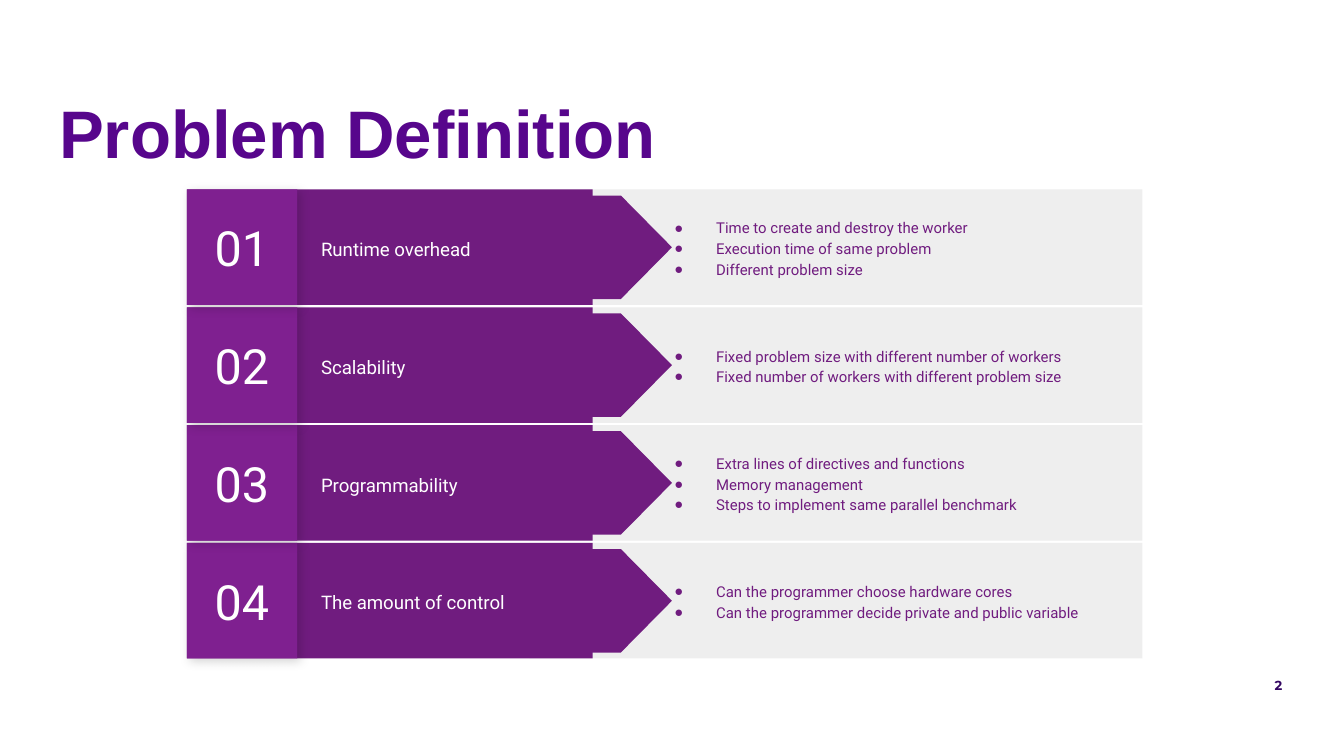
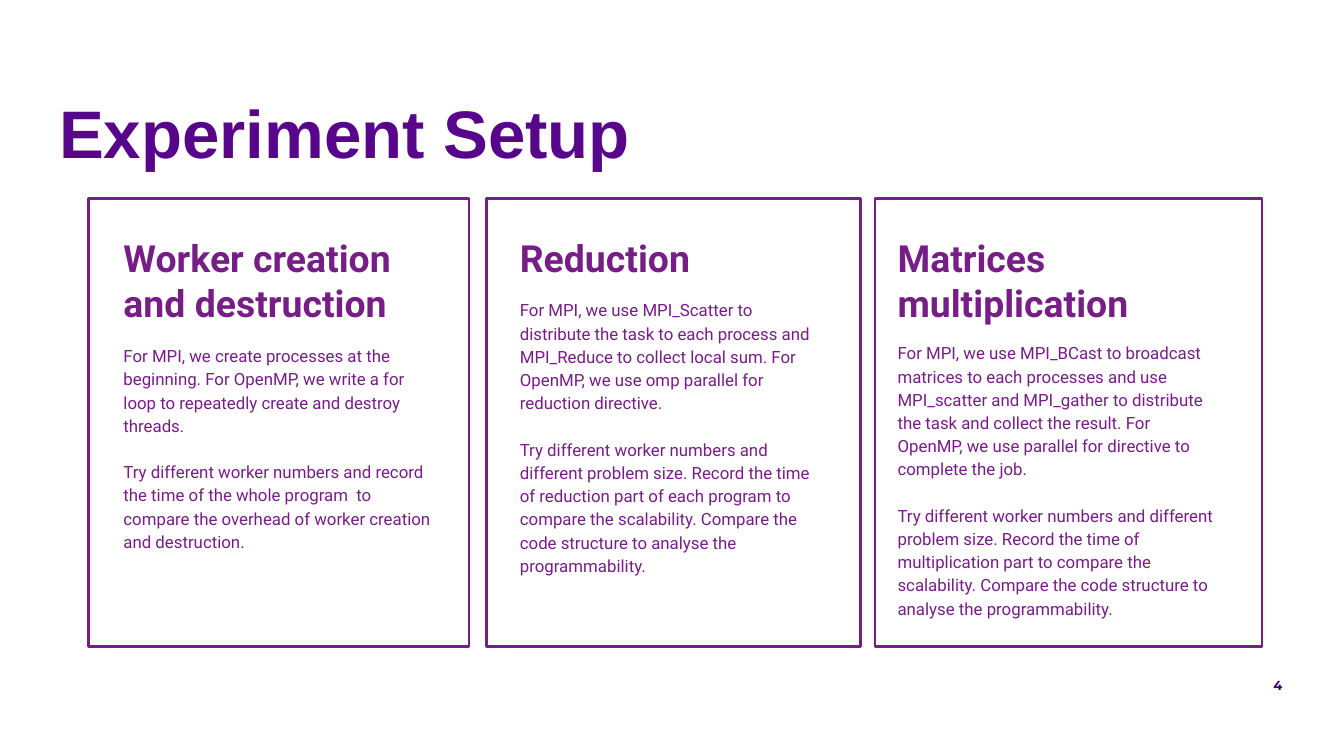
"""Build two slides: the problem definition and the experiment setup."""
from dataclasses import dataclass

from lxml import etree
from pptx import Presentation
from pptx.dml.color import RGBColor
from pptx.enum.shapes import MSO_SHAPE
from pptx.enum.text import MSO_ANCHOR, MSO_AUTO_SIZE, PP_ALIGN
from pptx.oxml import parse_xml
from pptx.util import Inches, Pt

RECTANGLE = MSO_SHAPE.RECTANGLE
ARROW = MSO_SHAPE.FLOWCHART_OFFPAGE_CONNECTOR
TOP, MIDDLE = MSO_ANCHOR.TOP, MSO_ANCHOR.MIDDLE
LEFT, CENTER, RIGHT = PP_ALIGN.LEFT, PP_ALIGN.CENTER, PP_ALIGN.RIGHT
NAMESPACE = "http://schemas.openxmlformats.org/drawingml/2006/main"


@dataclass(frozen=True)
class Theme:
    """Colours, fonts, type sizes and spacing of the presentation."""
    title: str = "57068C"
    page: str = "330662"
    band: str = "701C7F"
    number: str = "7F2090"
    card: str = "761E86"
    panel: str = "EEEEEE"
    white: str = "FFFFFF"
    title_font: str = "Arial"
    page_font: str = "Montserrat"
    body_font: str = "Roboto"
    bullet_font: str = "Arial"
    title_size: int = 36
    number_size: int = 26
    heading_size: int = 20
    label_size: int = 10
    card_size: int = 9
    bullet_size: int = 8
    page_size: int = 7
    body_spacing: float = 1.15
    paragraph_gap: float = 12.4


THEME = Theme()

CRITERIA = [
    ("Runtime overhead", ["Time to create and destroy the worker",
                          "Execution time of same problem",
                          "Different problem size"]),
    ("Scalability", ["Fixed problem size with different number of workers",
                     "Fixed number of workers with different problem size"]),
    ("Programmability", ["Extra lines of directives and functions",
                         "Memory management",
                         "Steps to implement same parallel benchmark"]),
    ("The amount of control", ["Can the programmer choose hardware cores",
                               "Can the programmer decide private and public variable"]),
]

EXPERIMENTS = [
    {"heading": "Worker creation and destruction",
     "left": 0.66, "width": 2.83, "text_left": 0.82, "text_width": 2.51, "body_top": 2.45,
     "body": ["For MPI, we create processes at the beginning. For OpenMP, we write a for loop "
              "to repeatedly create and destroy threads.",
              "Try different worker numbers and record the time of the whole program  to "
              "compare the overhead of worker creation and destruction."]},
    {"heading": "Reduction",
     "left": 3.62, "width": 2.78, "text_left": 3.77, "text_width": 2.46, "body_top": 2.11,
     "body": ["For MPI, we use MPI_Scatter to distribute the task to each process and "
              "MPI_Reduce to collect local sum. For OpenMP, we use omp parallel for "
              "reduction directive.",
              "Try different worker numbers and different problem size. Record the time of "
              "reduction part of each program to compare the scalability. Compare the code "
              "structure to analyse the programmability."]},
    {"heading": "Matrices multiplication",
     "left": 6.51, "width": 2.88, "text_left": 6.58, "text_width": 2.55, "body_top": 2.43,
     "body": ["For MPI, we use MPI_BCast to broadcast matrices to each processes and use "
              "MPI_scatter and MPI_gather to distribute the task and collect the result. For "
              "OpenMP, we use parallel for directive to complete the job.",
              "Try different worker numbers and different problem size. Record the time of "
              "multiplication part to compare the scalability. Compare the code structure to "
              "analyse the programmability."]},
]

ROW_TOP, LAST_ROW_TOP, ROW_HEIGHT = 1.41, 4.04, 0.86
ROW_PITCH = (LAST_ROW_TOP - ROW_TOP) / (len(CRITERIA) - 1)
ARROW_CENTER, ARROW_LENGTH, ARROW_BREADTH = 4.05, 1.9, 0.77
CARD_TOP, CARD_HEIGHT, HEADING_TOP, BODY_BOTTOM = 1.48, 3.33, 1.65, 4.6


def write(shape, texts, size, color, font=THEME.body_font, bold=False, align=LEFT,
          anchor=TOP, spacing=1.0, gap=0):
    """Fill a shape with paragraphs of one style and return them."""
    frame = shape.text_frame
    frame.word_wrap = True
    frame.auto_size = MSO_AUTO_SIZE.NONE
    frame.vertical_anchor = anchor
    frame.margin_left = frame.margin_right = Inches(0.1)
    frame.margin_top = frame.margin_bottom = Inches(0.1)
    frame.text = "\n".join(texts)
    for index, paragraph in enumerate(frame.paragraphs):
        paragraph.alignment = align
        paragraph.line_spacing = spacing
        paragraph.space_before = Pt(gap if index else 0)
        paragraph.font.name = font
        paragraph.font.size = Pt(size)
        paragraph.font.bold = bold
        paragraph.font.color.rgb = RGBColor.from_string(color)
    return frame.paragraphs


def add_text(shapes, box, texts, size, color, **style):
    """Add a text box and return its paragraphs."""
    return write(shapes.add_textbox(*map(Inches, box)), texts, size, color, **style)


def add_block(shapes, kind, box, fill, line=None):
    """Add a flat preset shape."""
    shape = shapes.add_shape(kind, *map(Inches, box))
    shape.shadow.inherit = False
    shape.fill.solid()
    shape.fill.fore_color.rgb = RGBColor.from_string(fill)
    if line:
        shape.line.color.rgb = RGBColor.from_string(line)
        shape.line.width = Pt(1.5)
    else:
        shape.line.fill.background()
    return shape


def add_shadow(shape):
    """Give a shape a soft diagonal shadow."""
    effects = shape._element.spPr.find(f"{{{NAMESPACE}}}effectLst")
    effects.append(parse_xml(
        f'<a:outerShdw xmlns:a="{NAMESPACE}" blurRad="{Pt(5.6)}" dist="{Pt(2.2)}" '
        'dir="2700000" algn="tl" rotWithShape="0">'
        '<a:srgbClr val="000000"><a:alpha val="17000"/></a:srgbClr></a:outerShdw>'))


def add_bullet(paragraph, color):
    """Turn a paragraph into a hanging bullet."""
    properties = paragraph._p.get_or_add_pPr()
    properties.set("marL", str(Inches(0.5)))
    properties.set("indent", str(Inches(-0.31)))
    bullet_color = etree.SubElement(properties, f"{{{NAMESPACE}}}buClr")
    etree.SubElement(bullet_color, f"{{{NAMESPACE}}}srgbClr", val=color)
    etree.SubElement(properties, f"{{{NAMESPACE}}}buFont", typeface=THEME.bullet_font)
    etree.SubElement(properties, f"{{{NAMESPACE}}}buChar", char="●")
    defaults = properties.find(f"{{{NAMESPACE}}}defRPr")
    if defaults is not None:
        properties.append(defaults)


def add_slide(presentation, title, page):
    """Add a slide with the shared title and page number."""
    slide = presentation.slides.add_slide(presentation.slide_layouts[5])
    heading = slide.shapes.title
    heading.left, heading.top = Inches(0.34), Inches(0.58)
    heading.width, heading.height = Inches(9.21), Inches(0.63)
    write(heading, [title], THEME.title_size, THEME.title, font=THEME.title_font, bold=True)
    add_text(slide.shapes, (5.05, 4.94, 4.59, 0.34), [page], THEME.page_size, THEME.page,
             font=THEME.page_font, bold=True, align=RIGHT)
    return slide


def add_criterion(slide, index, label, points):
    """Add one numbered row with its arrow and bullets."""
    shapes = slide.shapes.add_group_shape().shapes
    top = ROW_TOP + index * ROW_PITCH
    add_block(shapes, RECTANGLE, (3.94, top, 4.56, ROW_HEIGHT), THEME.panel)
    add_block(shapes, RECTANGLE, (2.21, top, 2.2, ROW_HEIGHT), THEME.band)
    arrow_box = (ARROW_CENTER - ARROW_BREADTH / 2, top + (ROW_HEIGHT - ARROW_LENGTH) / 2,
                 ARROW_BREADTH, ARROW_LENGTH)
    add_block(shapes, ARROW, arrow_box, THEME.band).rotation = 270
    add_text(shapes, (2.29, top + 0.1, 2.32, 0.66), [label], THEME.label_size, THEME.white,
             anchor=MIDDLE, spacing=THEME.body_spacing)
    number_box = (1.39, top, 0.82, ROW_HEIGHT)
    add_shadow(add_block(shapes, RECTANGLE, number_box, THEME.card))
    number = add_block(shapes, RECTANGLE, number_box, THEME.number)
    write(number, [f"{index + 1:02}"], THEME.number_size, THEME.white, align=CENTER,
          anchor=MIDDLE)
    for paragraph in add_text(shapes, (4.73, top, 3.55, ROW_HEIGHT), points,
                              THEME.bullet_size, THEME.band, anchor=MIDDLE,
                              spacing=THEME.body_spacing):
        add_bullet(paragraph, THEME.band)


def add_experiment(slide, card):
    """Add one outlined card with heading and body."""
    shapes = slide.shapes.add_group_shape().shapes
    left, width, body_top = card["text_left"], card["text_width"], card["body_top"]
    add_block(shapes, RECTANGLE, (card["left"], CARD_TOP, card["width"], CARD_HEIGHT),
              THEME.white, line=THEME.card)
    add_text(shapes, (left, body_top, width, BODY_BOTTOM - body_top), card["body"],
             THEME.card_size, THEME.card, spacing=THEME.body_spacing,
             gap=THEME.paragraph_gap)
    add_text(shapes, (left, HEADING_TOP, width, body_top - HEADING_TOP), [card["heading"]],
             THEME.heading_size, THEME.card, bold=True)


def main():
    """Build and save the presentation."""
    presentation = Presentation()
    presentation.slide_width = Inches(10)
    presentation.slide_height = presentation.slide_width * 9 // 16
    problem = add_slide(presentation, "Problem Definition", "2")
    for index, (label, points) in reversed(list(enumerate(CRITERIA))):
        add_criterion(problem, index, label, points)
    setup = add_slide(presentation, "Experiment Setup", "4")
    for card in EXPERIMENTS:
        add_experiment(setup, card)
    presentation.save("out.pptx")


if __name__ == "__main__":
    main()
